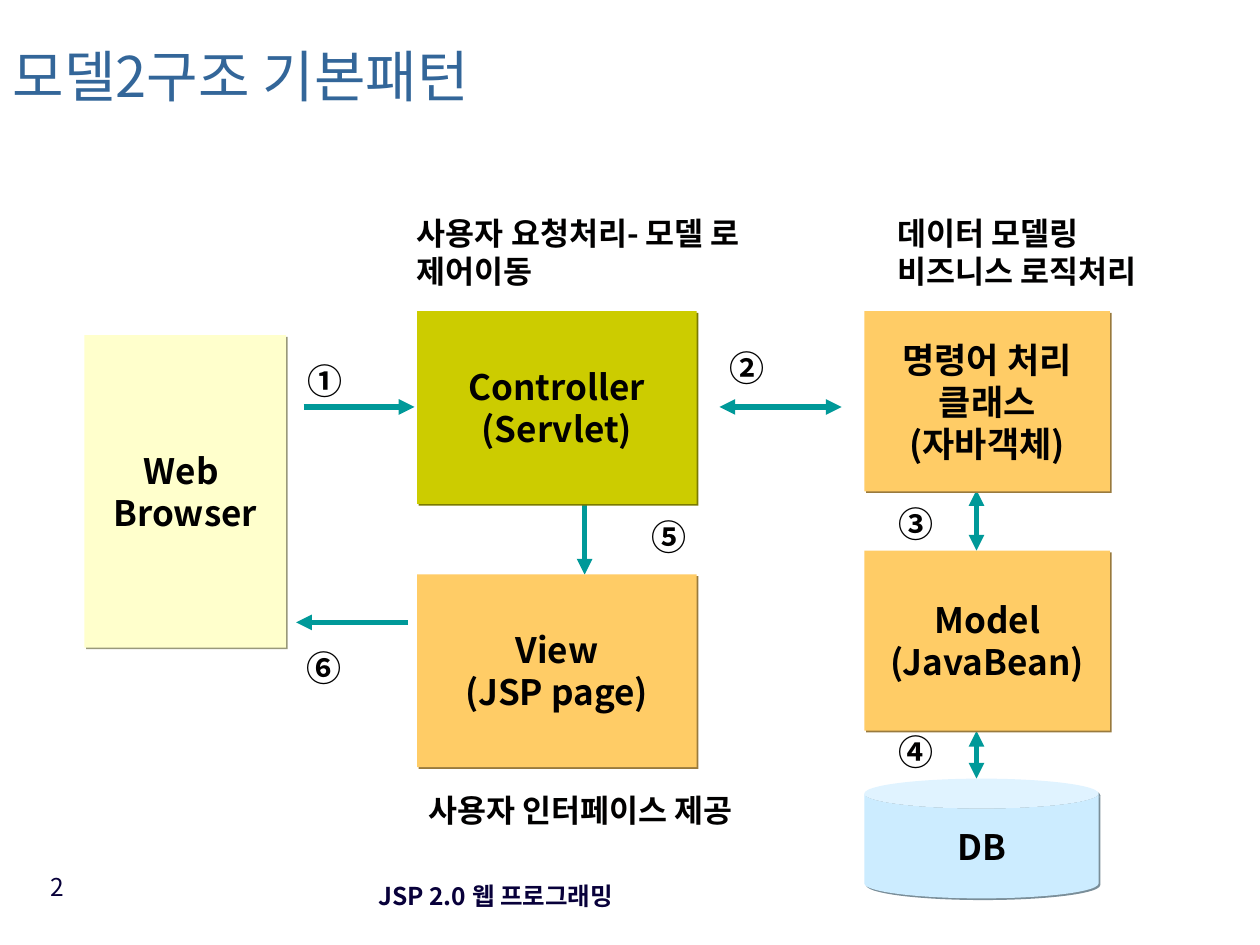
from lxml import etree
from pptx import Presentation
from pptx.dml.color import RGBColor
from pptx.enum.shapes import MSO_CONNECTOR, MSO_SHAPE
from pptx.enum.text import MSO_ANCHOR, MSO_AUTO_SIZE, PP_ALIGN
from pptx.oxml.ns import qn
from pptx.util import Inches, Pt

RECT, CAN = MSO_SHAPE.RECTANGLE, MSO_SHAPE.CAN
STRAIGHT = MSO_CONNECTOR.STRAIGHT
TOP, MIDDLE = MSO_ANCHOR.TOP, MSO_ANCHOR.MIDDLE
LEFT, CENTER, RIGHT = PP_ALIGN.LEFT, PP_ALIGN.CENTER, PP_ALIGN.RIGHT
NO_FIT = MSO_AUTO_SIZE.NONE

INK = RGBColor(0x01, 0x00, 0x00)
NAVY = RGBColor(0x08, 0x00, 0x3A)
BLUE = RGBColor(0x33, 0x66, 0x99)
TEAL = RGBColor(0x00, 0x99, 0x99)
CREAM = RGBColor(0xFF, 0xFF, 0xCC)
ORANGE = RGBColor(0xFF, 0xCC, 0x66)
OLIVE = RGBColor(0xCC, 0xCC, 0x00)
SKY = RGBColor(0xCC, 0xEC, 0xFF)

PADDED = (0.1, 0.05, 0.1, 0.05)
FLUSH = (0, 0, 0, 0)


class Deck:
    font = "Noto Sans CJK KR"

    def __init__(self, prs):
        self.s = prs.slides.add_slide(prs.slide_layouts[5])

    def fill_text(self, sp, lines, size, color=INK, bold=True, align=LEFT,
                  anchor=TOP, insets=FLUSH, wrap=True, spacing=None):
        tf = sp.text_frame
        frame = dict(zip(("margin_left", "margin_top", "margin_right", "margin_bottom"),
                         map(Inches, insets)))
        frame.update(vertical_anchor=anchor, word_wrap=wrap, auto_size=NO_FIT)
        for name, value in frame.items():
            setattr(tf, name, value)
        for i, line in enumerate(lines):
            p = tf.add_paragraph() if i else tf.paragraphs[0]
            p.alignment = align
            p.line_spacing = spacing
            r = p.add_run()
            r.text = line
            for name, value in dict(name=self.font, size=Pt(size), bold=bold).items():
                setattr(r.font, name, value)
            r.font.color.rgb = color
            ea = etree.SubElement(r._r.get_or_add_rPr(), qn("a:ea"))
            ea.set("typeface", self.font)

    def title(self, at, text):
        sp = self.s.shapes.title
        for name, value in zip(("left", "top", "width", "height"), at):
            setattr(sp, name, Inches(value))
        self.fill_text(sp, [text], 32, BLUE, False, anchor=MIDDLE,
                       insets=PADDED, spacing=0.7)

    def text(self, at, lines, size, **style):
        sp = self.s.shapes.add_textbox(*map(Inches, at))
        self.fill_text(sp, lines, size, **style)

    def box(self, kind, at, fill, lines):
        sp = self.s.shapes.add_shape(kind, *map(Inches, at))
        sp.fill.solid()
        sp.fill.fore_color.rgb = fill
        sp.line.fill.background()
        self.add_shadow(sp, fill)
        self.fill_text(sp, lines, 20, align=CENTER, anchor=MIDDLE,
                       insets=PADDED, wrap=False)

    def add_shadow(self, sp, fill):
        sp.shadow.inherit = False
        effects = sp._element.spPr.find(qn("a:effectLst"))
        shadow = etree.SubElement(effects, qn("a:outerShdw"), dist=str(Pt(1.4)),
                                  dir="2700000", algn="ctr", rotWithShape="0")
        dark = RGBColor(*(round(part * 0.6) for part in fill))
        etree.SubElement(shadow, qn("a:srgbClr"), val=str(dark))

    def arrow(self, x1, y1, x2, y2, both=False):
        cx = self.s.shapes.add_connector(STRAIGHT, *map(Inches, (x1, y1, x2, y2)))
        cx.line.color.rgb = TEAL
        cx.line.width = Pt(3)
        ln = cx._element.spPr.find(qn("a:ln"))
        ends = ("headEnd", "tailEnd") if both else ("tailEnd",)
        for end in ends:
            etree.SubElement(ln, qn("a:" + end), type="triangle")
        etree.SubElement(cx._element.spPr, qn("a:effectLst"))


def main():
    prs = Presentation()
    prs.slide_width, prs.slide_height = Inches(10), Inches(7.5)
    deck = Deck(prs)
    deck.title((0, 0.21, 6.42, 0.9), "모델2구조 기본패턴")

    deck.text((2.35, 6.86, 3.17, 0.5), ["JSP 2.0 웹 프로그래밍"], 14, color=NAVY,
              align=CENTER, anchor=MIDDLE, insets=PADDED)
    deck.text((0.14, 6.87, 0.47, 0.52), ["2"], 14, color=NAVY, bold=False,
              align=RIGHT, insets=PADDED)

    for arrow in (
        (2.41, 3.23, 3.29, 3.23),
        (5.71, 3.23, 6.68, 3.23, True),
        (7.75, 3.89, 7.75, 4.37, True),
        (7.75, 5.8, 7.75, 6.18, True),
        (4.64, 3.89, 4.64, 4.56),
        (3.24, 4.94, 2.35, 4.94),
    ):
        deck.arrow(*arrow)

    for box in (
        (RECT, (0.67, 2.66, 1.6, 2.48), CREAM, ["Web ", "Browser"]),
        (RECT, (3.31, 2.47, 2.22, 1.53), OLIVE, ["Controller", "(Servlet)"]),
        (RECT, (3.31, 4.56, 2.22, 1.53), ORANGE, ["View", "(JSP page)"]),
        (RECT, (6.86, 2.47, 1.95, 1.43), ORANGE, ["명령어 처리", "클래스", "(자바객체)"]),
        (RECT, (6.86, 4.37, 1.95, 1.43), ORANGE, ["Model", "(JavaBean)"]),
        (CAN, (6.86, 6.18, 1.86, 0.95), SKY, ["DB"]),
    ):
        deck.box(*box)

    steps = ((2.44, 2.85), (5.79, 2.75), (7.13, 3.99),
             (7.13, 5.8), (5.17, 4.09), (2.43, 5.13))
    for mark, (x, y) in zip("①②③④⑤⑥", steps):
        deck.text((x, y, 0.44, 0.33), [mark], 20)

    for at, lines in (
        ((3.31, 1.7, 2.66, 0.6), ["사용자 요청처리- 모델 로 제어이동"]),
        ((7.12, 1.7, 2.13, 0.6), ["데이터 모델링", "비즈니스 로직처리"]),
        ((3.4, 6.28, 2.66, 0.3), ["사용자 인터페이스 제공"]),
    ):
        deck.text(at, lines, 18)

    prs.save("out.pptx")


if __name__ == "__main__":
    main()
